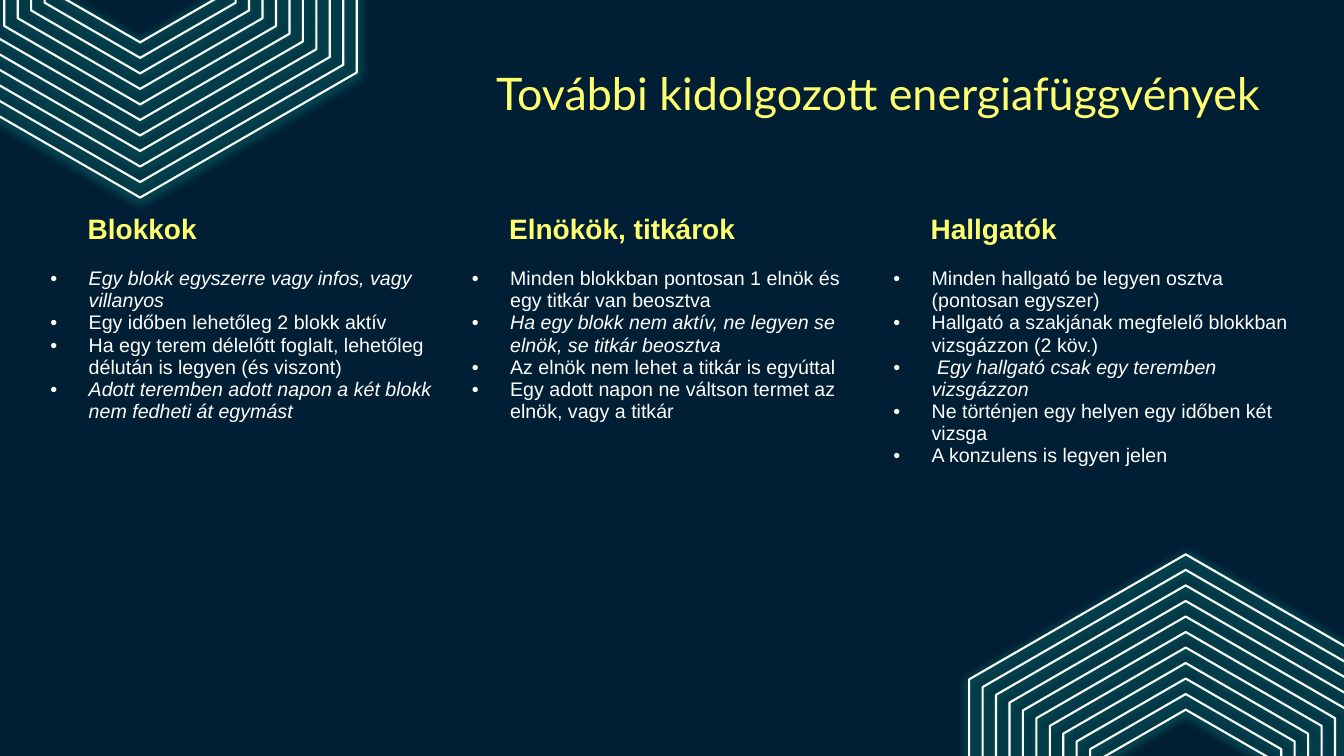
from math import cos, radians

from lxml.etree import SubElement
from pptx import Presentation
from pptx.dml.color import RGBColor
from pptx.enum.text import MSO_ANCHOR, PP_ALIGN
from pptx.oxml.ns import qn
from pptx.util import Inches, Pt

COLORS = {
    "background": "001F35",
    "heading": "FFFF70",
    "text": "FFFFFF",
    "glow": "1FFFCE",
}
NO_STYLE_NO_GRID = "{2D5ABB26-0587-4C30-8999-92F81FD0307C}"
HEXAGONS = 11
OUTER_RADIUS, INNER_RADIUS = 2.48, 0.94

# Each column: heading, then (sentence, italic) pairs
COLUMNS = [
    ("Blokkok", [
        ("Egy blokk egyszerre vagy infos, vagy villanyos", True),
        ("Egy időben lehetőleg 2 blokk aktív", False),
        ("Ha egy terem délelőtt foglalt, lehetőleg délután is legyen (és viszont)", False),
        ("Adott teremben adott napon a két blokk nem fedheti át egymást", True),
    ]),
    ("Elnökök, titkárok", [
        ("Minden blokkban pontosan 1 elnök és egy titkár van beosztva", False),
        ("Ha egy blokk nem aktív, ne legyen se elnök, se titkár beosztva", True),
        ("Az elnök nem lehet a titkár is egyúttal", False),
        ("Egy adott napon ne váltson termet az elnök, vagy a titkár", False),
    ]),
    ("Hallgatók", [
        ("Minden hallgató be legyen osztva (pontosan egyszer)", False),
        ("Hallgató a szakjának megfelelő blokkban vizsgázzon (2 köv.)", False),
        (" Egy hallgató csak egy teremben vizsgázzon", True),
        ("Ne történjen egy helyen egy időben két vizsga", False),
        ("A konzulens is legyen jelen", False),
    ]),
]


def color(name):
    return RGBColor.from_string(COLORS[name])


def write(para, text, size=14, font="Arial", fill="text", bold=False, italic=False):
    para.alignment = PP_ALIGN.LEFT
    span = para.add_run()
    span.text = text
    span.font.size = Pt(size)
    span.font.name = font
    span.font.bold = bold
    span.font.italic = italic
    span.font.color.rgb = color(fill)


def set_margins(box, left, top, right, bottom):
    box.margin_left, box.margin_top = Inches(left), Inches(top)
    box.margin_right, box.margin_bottom = Inches(right), Inches(bottom)


def add_bullet(para):
    props = para._p.get_or_add_pPr()
    props.set("marL", str(Inches(0.38)))
    props.set("indent", str(Inches(-0.38)))
    bullet_color = SubElement(props, qn("a:buClr"))
    SubElement(bullet_color, qn("a:srgbClr"), val=COLORS["text"])
    SubElement(props, qn("a:buFont"), typeface="Arial")
    SubElement(props, qn("a:buChar"), char="•")


def add_glow(shape):
    shape.shadow.inherit = False
    effects = shape._element.spPr.find(qn("a:effectLst"))
    shadow = SubElement(effects, qn("a:outerShdw"), blurRad=str(Pt(7.9)),
                        dist=str(Pt(1.5)), dir="5400000", algn="ctr",
                        rotWithShape="0")
    tint = SubElement(shadow, qn("a:srgbClr"), val=COLORS["glow"])
    SubElement(tint, qn("a:alpha"), val="90000")


def add_hexagon(group, x, y, radius):
    side, half = radius * cos(radians(30)), radius / 2
    corners = [(x, y - radius), (x - side, y - half), (x - side, y + half),
               (x, y + radius), (x + side, y + half), (x + side, y - half)]
    points = [(Inches(a), Inches(b)) for a, b in corners]
    builder = group.shapes.build_freeform(*points[0])
    builder.add_line_segments(points[1:], close=True)
    hexagon = builder.convert_to_shape()
    hexagon.fill.background()
    hexagon.line.color.rgb = color("text")
    hexagon.line.width = Pt(1.5)
    add_glow(hexagon)


def add_nested_hexagons(page, x, y):
    group = page.shapes.add_group_shape()
    step = (OUTER_RADIUS - INNER_RADIUS) / (HEXAGONS - 1)
    for index in range(HEXAGONS):
        add_hexagon(group, x, y, OUTER_RADIUS - index * step)


def add_title(page, text):
    title = page.shapes.title
    title.left, title.top = Inches(4.82), Inches(0.35)
    title.width, title.height = Inches(7.83), Inches(1.14)
    box = title.text_frame
    box.word_wrap = True
    box.vertical_anchor = MSO_ANCHOR.MIDDLE
    set_margins(box, 0.1, 0.1, 0.1, 0.1)
    write(box.paragraphs[0], text, size=32, font="Lato", fill="heading")


def add_columns(page):
    frame = page.shapes.add_table(2, len(COLUMNS), Inches(0.4), Inches(1.96),
                                  Inches(12.54), Inches(4.94))
    table = frame.table
    table.first_row = table.horz_banding = False
    table._tbl.tblPr.find(qn("a:tableStyleId")).text = NO_STYLE_NO_GRID
    table.rows[0].height, table.rows[1].height = Inches(0.65), Inches(4.29)
    for index, (heading, items) in enumerate(COLUMNS):
        table.columns[index].width = Inches(4.18)
        head, body = table.cell(0, index), table.cell(1, index)
        for cell in (head, body):
            cell.fill.background()
            cell.vertical_anchor = MSO_ANCHOR.TOP
        set_margins(head, 0.47, 0.16, 0.15, 0.15)
        set_margins(body, 0.1, 0.05, 0.1, 0.05)
        write(head.text_frame.paragraphs[0], heading, size=20, fill="heading", bold=True)
        box = body.text_frame
        for number, (sentence, italic) in enumerate(items):
            para = box.add_paragraph() if number else box.paragraphs[0]
            add_bullet(para)
            write(para, sentence, italic=italic)


def main():
    deck = Presentation()
    deck.slide_width, deck.slide_height = Inches(13.33), Inches(7.5)
    page = deck.slides.add_slide(deck.slide_layouts[5])
    page.background.fill.solid()
    page.background.fill.fore_color.rgb = color("background")

    # Corner decorations
    add_nested_hexagons(page, 1.39, -0.52)
    add_nested_hexagons(page, 11.76, 7.98)

    # Title and the three lists
    add_title(page, "További kidolgozott energiafüggvények")
    add_columns(page)
    deck.save("out.pptx")


if __name__ == "__main__":
    main()
